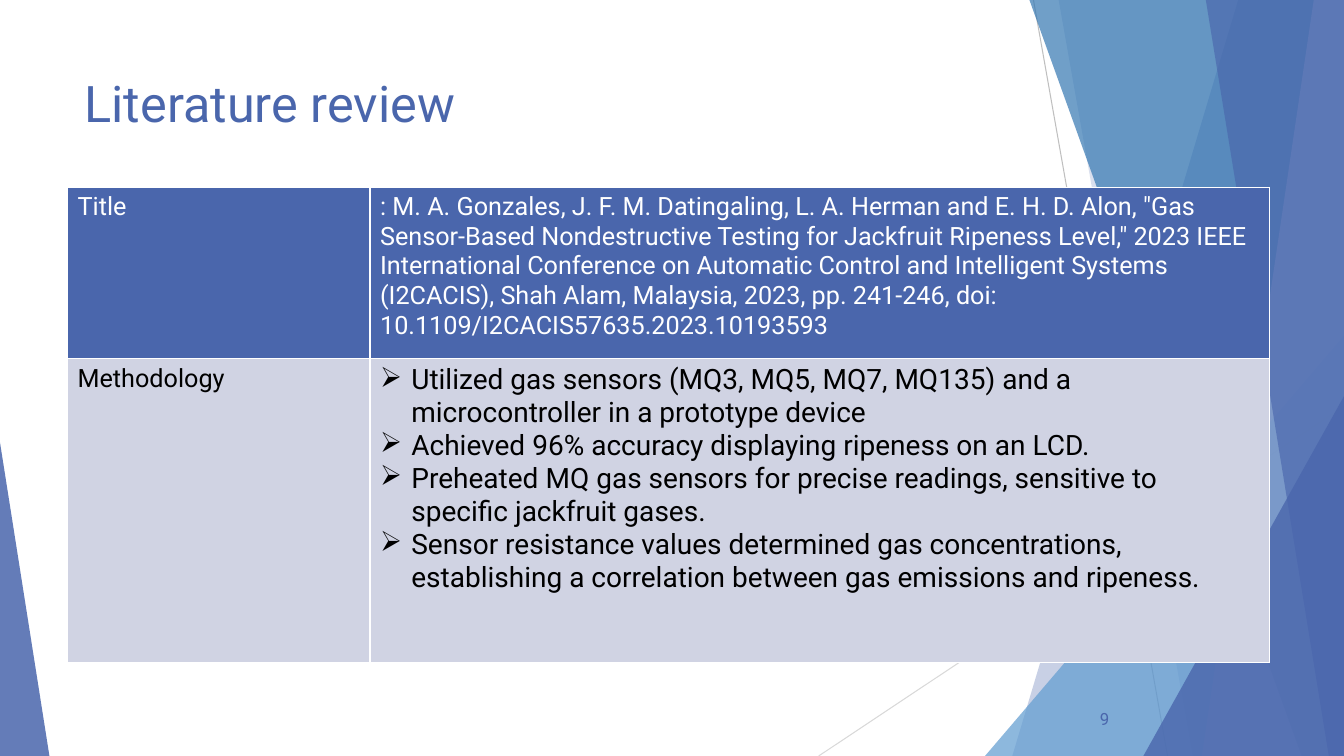
from dataclasses import dataclass
from typing import Union

from lxml.etree import SubElement
from pptx import Presentation
from pptx.dml.color import RGBColor
from pptx.enum.shapes import MSO_CONNECTOR, MSO_SHAPE
from pptx.enum.text import MSO_ANCHOR, PP_ALIGN
from pptx.oxml import parse_xml
from pptx.oxml.ns import nsdecls, qn
from pptx.shapes.autoshape import Shape
from pptx.slide import Slide
from pptx.table import _Cell
from pptx.text.text import TextFrame
from pptx.util import Emu, Pt

PX = 9144
WIDTH, HEIGHT = 1333, 750
FONT = "Roboto"
COLORS = {
    "indigo": "4A66AC",
    "sky": "629DD1",
    "ocean": "3477B2",
    "lavender": "90A2CF",
    "mist": "D0D3E3",
    "white": "FFFFFF",
    "black": "000000",
    "gray": "BFBFBF",
    "light_gray": "D9D9D9",
}


@dataclass(frozen=True)
class Ray:
    start: tuple[int, int]
    end: tuple[int, int]
    color: str


@dataclass(frozen=True)
class Shard:
    top_left: int
    bottom_left: int
    color: str
    opacity: int


@dataclass(frozen=True)
class Peak:
    box: tuple[int, int, int, int]
    apex: int
    color: str
    opacity: int


@dataclass(frozen=True)
class Copy:
    lines: tuple[str, ...]
    size: int
    color: str
    bulleted: bool = False


@dataclass(frozen=True)
class Label:
    box: tuple[int, int, int, int]
    copy: Copy
    layout: dict
    align: PP_ALIGN


@dataclass(frozen=True)
class ReviewRow:
    height: int
    fill: str
    cells: tuple[Copy, Copy]


RAYS = (
    Ray((1025, 0), (1158, 750), "gray"),
    Ray((1333, 403), (812, 750), "light_gray"),
)
FACETS = (
    Shard(1228, 1004, "indigo", 30),
    Shard(1050, 1183, "indigo", 20),
    Peak((977, 333, 356, 417), 1, "sky", 72),
    Shard(1021, 1291, "ocean", 70),
    Shard(1303, 1192, "lavender", 70),
    Shard(1196, 1318, "indigo", 65),
    Peak((1134, 393, 199, 357), 1, "indigo", 80),
    Peak((0, 439, 49, 311), 0, "indigo", 85),
)
HEADING = Label(
    (74, 67, 940, 144),
    Copy(("Literature review",), 36, "indigo"),
    {"word_wrap": True, "vertical_anchor": MSO_ANCHOR.TOP},
    PP_ALIGN.LEFT,
)
PAGE_NUMBER = Label(
    (1035, 693, 75, 40),
    Copy(("9",), 12, "indigo"),
    {"word_wrap": True, "vertical_anchor": MSO_ANCHOR.MIDDLE},
    PP_ALIGN.RIGHT,
)
REVIEW_ORIGIN = (67, 186)
REVIEW_COLUMNS = (300, 892)
CITATION = (
    ': M. A. Gonzales, J. F. M. Datingaling, L. A. Herman and E. H. D. Alon, "Gas '
    'Sensor-Based Nondestructive Testing for Jackfruit Ripeness Level," 2023 IEEE '
    "International Conference on Automatic Control and Intelligent Systems "
    "(I2CACIS), Shah Alam, Malaysia, 2023, pp. 241-246, doi: "
    "10.1109/I2CACIS57635.2023.10193593"
)
FINDINGS = (
    "Utilized gas sensors (MQ3, MQ5, MQ7, MQ135) and a microcontroller in a prototype device",
    "Achieved 96% accuracy displaying ripeness on an LCD.",
    "Preheated MQ gas sensors for precise readings, sensitive to specific jackfruit gases.",
    "Sensor resistance values determined gas concentrations, "
    "establishing a correlation between gas emissions and ripeness.",
)
REVIEW = (
    ReviewRow(170, "indigo", (Copy(("Title",), 18, "white"), Copy((CITATION,), 18, "white"))),
    ReviewRow(301, "mist", (Copy(("Methodology",), 18, "black"), Copy(FINDINGS, 20, "black", True))),
)


def px(*lengths: int) -> list[Emu]:
    return [Emu(length * PX) for length in lengths]


def rgb(color: str) -> RGBColor:
    return RGBColor.from_string(COLORS[color])


def write(frame: TextFrame, copy: Copy, align: PP_ALIGN = PP_ALIGN.LEFT) -> None:
    font_format = {"name": FONT, "size": Pt(copy.size)}
    for index, line in enumerate(copy.lines):
        paragraph = frame.add_paragraph() if index else frame.paragraphs[0]
        paragraph.alignment = align
        if copy.bulleted:
            properties = paragraph._p.get_or_add_pPr()
            properties.set("marL", str(31 * PX))
            properties.set("indent", str(-31 * PX))
            SubElement(properties, qn("a:buChar"), char="➢")
        run = paragraph.add_run()
        run.text = line
        for attribute, value in font_format.items():
            setattr(run.font, attribute, value)
        run.font.color.rgb = rgb(copy.color)


def draw_ray(slide: Slide, ray: Ray) -> None:
    line = slide.shapes.add_connector(MSO_CONNECTOR.STRAIGHT, *px(*ray.start, *ray.end))
    line.line.color.rgb = rgb(ray.color)
    line.line.width = Pt(0.75)
    SubElement(line._element.spPr, qn("a:effectLst"))


def outline_facet(slide: Slide, facet: Union[Shard, Peak]) -> Shape:
    if isinstance(facet, Peak):
        peak = slide.shapes.add_shape(MSO_SHAPE.ISOSCELES_TRIANGLE, *px(*facet.box))
        peak.adjustments[0] = facet.apex
        return peak
    builder = slide.shapes.build_freeform(facet.top_left, 0, scale=PX)
    builder.add_line_segments([(WIDTH, 0), (WIDTH, HEIGHT), (facet.bottom_left, HEIGHT)])
    return builder.convert_to_shape()


def draw_facet(slide: Slide, facet: Union[Shard, Peak]) -> None:
    shape = outline_facet(slide, facet)
    shape.shadow.inherit = False
    shape.line.fill.background()
    shape.fill.solid()
    shape.fill.fore_color.rgb = rgb(facet.color)
    tint = shape._element.spPr.find(f".//{qn('a:srgbClr')}")
    SubElement(tint, qn("a:alpha"), val=str(facet.opacity * 1000))


def draw_label(slide: Slide, label: Label) -> None:
    frame = slide.shapes.add_textbox(*px(*label.box)).text_frame
    for attribute, value in label.layout.items():
        setattr(frame, attribute, value)
    write(frame, label.copy, label.align)


def style_cell(cell: _Cell, fill: str) -> None:
    cell.fill.solid()
    cell.fill.fore_color.rgb = rgb(fill)
    for index, side in enumerate("LRTB"):
        border = parse_xml(
            f'<a:ln{side} {nsdecls("a")} w="{Pt(1)}"><a:solidFill>'
            f'<a:srgbClr val="{COLORS["white"]}"/></a:solidFill></a:ln{side}>'
        )
        cell._tc.get_or_add_tcPr().insert(index, border)


def draw_review(slide: Slide) -> None:
    size = (sum(REVIEW_COLUMNS), sum(row.height for row in REVIEW))
    review = slide.shapes.add_table(
        len(REVIEW), len(REVIEW_COLUMNS), *px(*REVIEW_ORIGIN, *size)
    ).table
    for column, width in zip(review.columns, px(*REVIEW_COLUMNS)):
        column.width = width
    for row, entry in zip(review.rows, REVIEW):
        row.height = Emu(entry.height * PX)
        for cell, copy in zip(row.cells, entry.cells):
            style_cell(cell, entry.fill)
            write(cell.text_frame, copy)


def main() -> None:
    deck = Presentation()
    deck.slide_width, deck.slide_height = px(WIDTH, HEIGHT)
    slide = deck.slides.add_slide(deck.slide_layouts[6])
    for ray in RAYS:
        draw_ray(slide, ray)
    for facet in FACETS:
        draw_facet(slide, facet)
    draw_label(slide, HEADING)
    draw_review(slide)
    draw_label(slide, PAGE_NUMBER)
    deck.save("out.pptx")


if __name__ == "__main__":
    main()
